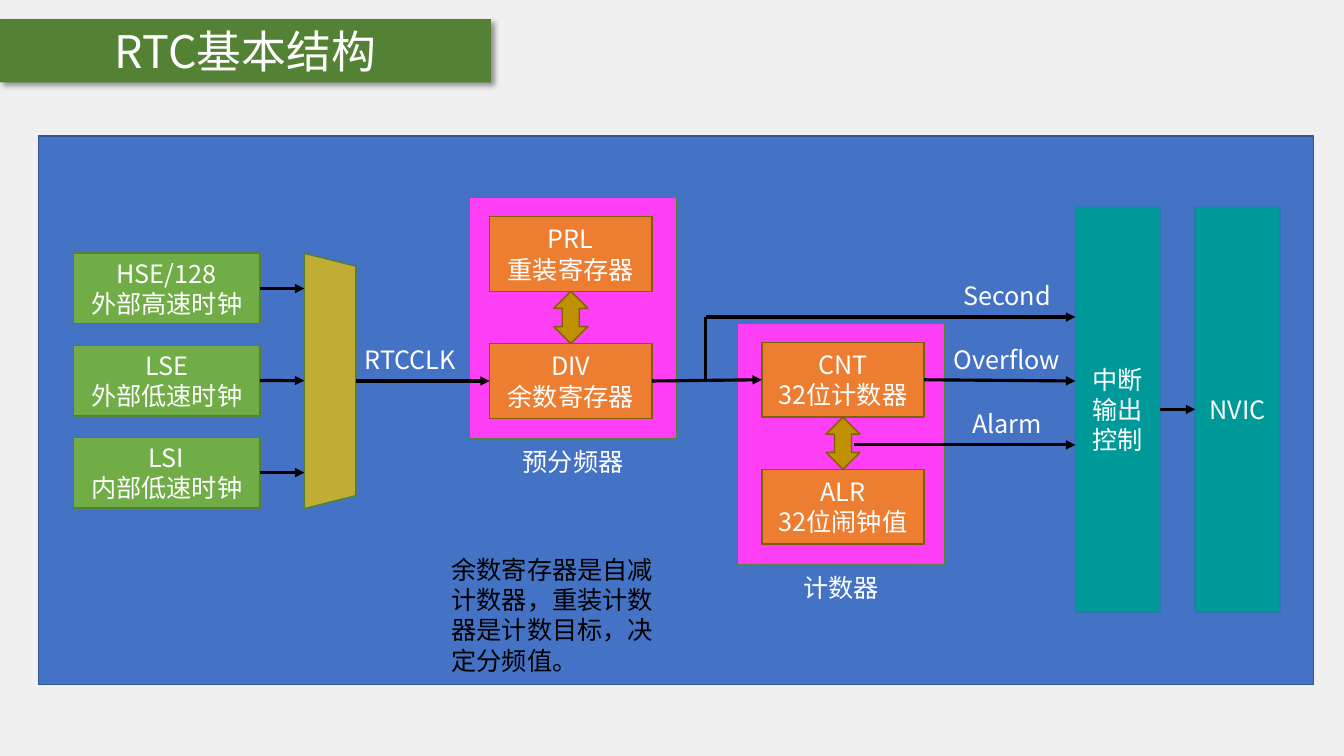
from lxml.etree import SubElement
from pptx import Presentation
from pptx.dml.color import RGBColor
from pptx.enum.shapes import MSO_CONNECTOR as Connector, MSO_SHAPE as Preset
from pptx.enum.text import MSO_ANCHOR as Anchor, PP_ALIGN as Align
from pptx.oxml.ns import qn
from pptx.util import Cm, Pt

FONT = "Noto Sans CJK SC"
COLORS = {
    "page": "F0F0F0", "panel": "4472C4", "panel_line": "325491",
    "group": "FF3FF6", "green": "548235", "register": "ED7D31",
    "brown": "806000", "gold": "BF9000", "clock": "70AD47",
    "mux": "C1AD35", "mux_line": "538035", "teal": "009999",
    "teal_line": "2E75B6", "white": "FFFFFF", "black": "000000",
}

TITLE = "RTC基本结构"
NOTE = "余数寄存器是自减计数器，重装计数器是计数目标，决定分频值。"
CLOCKS = [
    ["HSE/128", "外部高速时钟"],
    ["LSE", "外部低速时钟"],
    ["LSI", "内部低速时钟"],
]
GROUPS = [
    ("预分频器", 11.84, 4.98, 12.34, [["PRL", "重装寄存器"], ["DIV", "余数寄存器"]]),
    ("计数器", 18.59, 8.15, 19.2, [["CNT", "32位计数器"], ["ALR", "32位闹钟值"]]),
]
SIGNALS = ["Second", "Overflow", "Alarm"]
OUTPUTS = [["中断", "输出", "控制"], ["NVIC"]]

CLOCK_LEFT, CLOCK_TOP, CLOCK_STEP, CLOCK_W, CLOCK_H = 1.85, 6.38, 2.32, 4.7, 1.78
MUX_LEFT, MUX_W, MUX_H = 7.67, 1.3, 6.43
GROUP_W, GROUP_H = 5.21, 6.07
REGISTER_W, REGISTER_H, REGISTER_STEP, REGISTER_INSET = 4.09, 1.88, 3.2, 0.48
SWAP_W = 0.86
MAIN_Y, SIGNAL_STEP = 9.6, 1.61
LABEL_W, LABEL_H, LABEL_RISE, CAPTION_W = 3.66, 1.02, 1.04, 4.85
OUTPUT_LEFT, OUTPUT_TOP, OUTPUT_STEP, OUTPUT_W, OUTPUT_H = 27.1, 5.21, 3.02, 2.14, 10.21
BRANCH_X, ALARM_X = 17.78, 21.51

deck = Presentation()
deck.slide_width, deck.slide_height = Cm(33.87), Cm(19.05)
page = deck.slides.add_slide(deck.slide_layouts[6])


def color(name):
    return RGBColor.from_string(COLORS[name])


page.background.fill.solid()
page.background.fill.fore_color.rgb = color("page")


def write(frame, lines, size=18, ink="white", align=Align.CENTER):
    frame.word_wrap = True
    for index, line in enumerate(lines):
        para = frame.add_paragraph() if index else frame.paragraphs[0]
        para.text = line
        para.alignment = align
        para.font.size = Pt(size)
        para.font.name = FONT
        para.font.color.rgb = color(ink)
        defaults = para._p.pPr.find(qn("a:defRPr"))
        SubElement(defaults, qn("a:ea"), typeface=FONT)


def add_block(left, top, width, height, fill, line=None, lines=(), size=18,
              preset=Preset.RECTANGLE):
    box = page.shapes.add_shape(preset, Cm(left), Cm(top), Cm(width), Cm(height))
    box.shadow.inherit = False
    box.fill.solid()
    box.fill.fore_color.rgb = color(fill)
    if line:
        box.line.color.rgb = color(line)
        box.line.width = Pt(1)
    else:
        box.line.fill.background()
    box.text_frame.vertical_anchor = Anchor.MIDDLE
    write(box.text_frame, lines, size)
    return box


def add_label(left, top, width, text, height=LABEL_H, **style):
    box = page.shapes.add_textbox(Cm(left), Cm(top), Cm(width), Cm(height))
    write(box.text_frame, [text], **style)


def add_line(start, end, source=None, target=None, arrow=True):
    line = page.shapes.add_connector(
        Connector.STRAIGHT, *(Cm(value) for value in start + end))
    if source:
        line.begin_connect(source, 3)
    if target:
        line.end_connect(target, 1)
    line.line.color.rgb = color("black")
    line.line.width = Pt(2.25)
    if arrow:
        SubElement(line.line._get_or_add_ln(), qn("a:tailEnd"), type="triangle")
    SubElement(line._element.spPr, qn("a:effectLst"))


add_block(0.97, 3.43, 32.13, 13.82, "panel", "panel_line")

title = add_block(0, 0.48, 12.37, 1.6, "green", lines=[TITLE], size=32)
effects = title._element.spPr.find(qn("a:effectLst"))
shadow = SubElement(effects, qn("a:outerShdw"), blurRad=str(Pt(4)), dist=str(Pt(3)),
                    dir="2700000", algn="tl", rotWithShape="0")
tint = SubElement(shadow, qn("a:srgbClr"), val=COLORS["black"])
SubElement(tint, qn("a:alpha"), val="40000")

registers = {}
for caption, left, top, register_left, names in GROUPS:
    add_block(left, top, GROUP_W, GROUP_H, "group", "green")
    first_top = top + REGISTER_INSET
    for row, lines in enumerate(names):
        registers[lines[0]] = add_block(
            register_left, first_top + row * REGISTER_STEP, REGISTER_W, REGISTER_H,
            "register", "brown", lines)
    add_block(register_left + (REGISTER_W - SWAP_W) / 2, first_top + REGISTER_H,
              SWAP_W, REGISTER_STEP - REGISTER_H, "gold", "brown",
              preset=Preset.UP_DOWN_ARROW)
    add_label(left + (GROUP_W - CAPTION_W) / 2, top + GROUP_H + 0.08, CAPTION_W, caption)

mux = add_block(MUX_LEFT + (MUX_W - MUX_H) / 2, MAIN_Y - MUX_W / 2, MUX_H, MUX_W,
                "mux", "mux_line", preset=Preset.TRAPEZOID)
mux.rotation = 90

for row, lines in enumerate(CLOCKS):
    top = CLOCK_TOP + row * CLOCK_STEP
    clock = add_block(CLOCK_LEFT, top, CLOCK_W, CLOCK_H, "clock", "green", lines)
    middle = top + CLOCK_H / 2
    add_line((CLOCK_LEFT + CLOCK_W, middle), (MUX_LEFT, middle), source=clock)

interrupt, nvic = [
    add_block(OUTPUT_LEFT + column * OUTPUT_STEP, OUTPUT_TOP, OUTPUT_W, OUTPUT_H,
              "teal", "teal_line", lines)
    for column, lines in enumerate(OUTPUTS)]
middle = OUTPUT_TOP + OUTPUT_H / 2
add_line((OUTPUT_LEFT + OUTPUT_W, middle), (OUTPUT_LEFT + OUTPUT_STEP, middle),
         interrupt, nvic)

div_left, cnt_left = (group[3] for group in GROUPS)
add_line((MUX_LEFT + MUX_W, MAIN_Y), (div_left, MAIN_Y), target=registers["DIV"])
add_line((div_left + REGISTER_W, MAIN_Y), (cnt_left, MAIN_Y),
         registers["DIV"], registers["CNT"])
add_label(8.51, MAIN_Y - LABEL_RISE, LABEL_W, "RTCCLK")

starts = [BRANCH_X, cnt_left + REGISTER_W, ALARM_X]
sources = [None, registers["CNT"], None]
for row, (signal, start, source) in enumerate(zip(SIGNALS, starts, sources)):
    y = MAIN_Y + (row - 1) * SIGNAL_STEP
    add_line((start, y), (OUTPUT_LEFT, y), source)
    add_label(23.55, y - LABEL_RISE, LABEL_W, signal)
add_line((BRANCH_X, MAIN_Y - SIGNAL_STEP), (BRANCH_X, MAIN_Y), arrow=False)

add_label(11.13, 13.84, 6.07, NOTE, height=3.33, ink="black", align=Align.LEFT)

deck.save("out.pptx")
